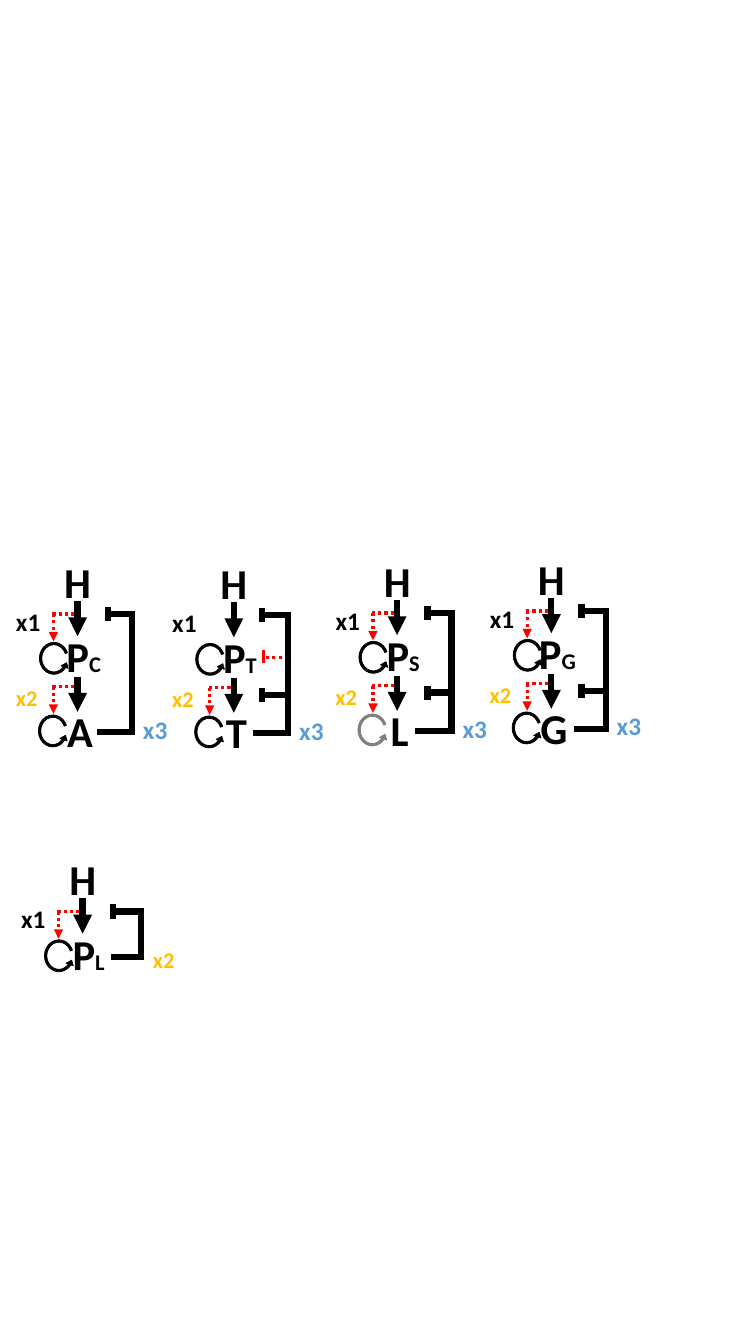
from pptx import Presentation
from pptx.dml.color import RGBColor
from pptx.enum.dml import MSO_LINE
from pptx.enum.shapes import MSO_CONNECTOR, MSO_SHAPE
from pptx.enum.text import MSO_AUTO_SIZE, PP_ALIGN
from pptx.oxml.ns import qn
from pptx.util import Emu, Pt
from lxml.etree import SubElement

PX = 9144  # 100 px to the inch
BLACK = RGBColor(0x00, 0x00, 0x00)
GREY = RGBColor(0x80, 0x80, 0x80)
RED = RGBColor(0xFF, 0x00, 0x00)
GOLD = RGBColor(0xFF, 0xC0, 0x00)
BLUE = RGBColor(0x5B, 0x9B, 0xD5)
BIG, MID, SMALL = 30.4, 18, 16
CURVE = (0.071, 12.212, 30.443, 67.552, 0.112)


def add_line(motif, x1, y1, x2, y2, color=BLACK, dash=False, head=False):
    group, axis, top = motif
    ends = [Emu(v * PX) for v in (axis + x1, top + y1, axis + x2, top + y2)]
    link = group.add_connector(MSO_CONNECTOR.STRAIGHT, *ends)
    link.line.color.rgb = color
    link.line.width = Pt(4.5 if color == BLACK else 2.25)
    if dash:
        link.line.dash_style = MSO_LINE.ROUND_DOT
    if head:
        SubElement(link.line._ln, qn("a:tailEnd"), type="triangle")
    SubElement(link._element.spPr, qn("a:effectLst"))


def add_text(motif, x, y, w, h, runs, color=BLACK):
    group, axis, top = motif
    box = group.add_textbox(*[Emu(v * PX) for v in (axis + x, top + y, w, h)])
    frame = box.text_frame
    frame.word_wrap = False
    frame.auto_size = MSO_AUTO_SIZE.SHAPE_TO_FIT_TEXT
    frame.margin_left = frame.margin_right = 0
    frame.margin_top = frame.margin_bottom = Emu(2 * PX)
    para = frame.paragraphs[0]
    para.alignment = PP_ALIGN.CENTER
    for words, size in runs:
        run = para.add_run()
        run.text = words
        run.font.name = "Calibri"
        run.font.size = Pt(size)
        run.font.bold = True
        run.font.color.rgb = color


deck = Presentation()
deck.slide_width, deck.slide_height = Emu(750 * PX), Emu(1333 * PX)
slide = deck.slides.add_slide(deck.slide_layouts[6])

# Axis, top, index of P, end product, colour of its loop, start of feedback, x of bar caps
motifs = [
    (77, 549, "C", "A", BLACK, 19, 30),
    (232, 550, "T", "T", BLACK, 19, 28),
    (394, 548, "S", "L", GREY, 18, 30),
    (547, 546, "G", "G", BLACK, 22, 30),
    (82, 844, "L", None, BLACK, 28, 30),
]

for axis, top, index, end, shade, start, cap in motifs:
    motif = (slide.shapes.add_group_shape().shapes, axis, top)
    if index == "T":  # dotted inhibition of P
        add_line(motif, 32, 102, 54, 102, RED, dash=True)
        add_line(motif, 29, 95, 29, 108, RED)

    # Letters of the chain
    add_text(motif, -19, 0, 38, 57, [("H", BIG)])
    add_text(motif, -17, 74, 46, 57, [("P", BIG), (index, SMALL)])
    if end:
        add_text(motif, -16, 148, 37, 57, [(end, BIG)])

    # Steps: black arrow, dotted branch, self-renewal loop
    steps = [(47, BLACK), (122, shade)] if end else [(47, BLACK)]
    for n, (y, color) in enumerate(steps):
        add_line(motif, 0, y, 0, y + 35, head=True)
        branch = 60 + 72 * n
        if n or index != "T":
            add_line(motif, -25, branch, -3, branch, RED, dash=True)
            add_line(motif, -24, branch, -24, branch + 27, RED, dash=True, head=True)
        spot = (axis - 42 - n, top + branch + 27, 37, 34)
        loop = motif[0].add_shape(MSO_SHAPE.CIRCULAR_ARROW, *[Emu(v * PX) for v in spot])
        for k, value in enumerate(CURVE):
            loop.adjustments[k] = value
        loop.rotation = 270
        loop._element.spPr.find(qn("a:xfrm")).set("flipH", "1")
        loop.shadow.inherit = False
        loop.fill.solid()
        loop.fill.fore_color.rgb = color
        loop.line.color.rgb = color
        loop.line.width = Pt(0.5)

    # Feedback: foot, spine and blunt bars
    spine, foot = (54, 177) if end else (58, 105)
    add_line(motif, start, foot, spine + (1 if end else 0), foot)
    add_line(motif, spine, 57, spine, foot + 3)
    for y in [60] if end in (None, "A") else [60, 139]:
        add_line(motif, cap, y - 7, cap, y + 7)
        add_line(motif, cap + 1, y, cap + 27, y)

    # Rate labels
    add_text(motif, -67, 50, 36, 36, [("x1", MID)])
    x, y = (-67, 128) if end else (64, 92)
    add_text(motif, x, y, 33, 33, [("x2", SMALL)], GOLD)
    if end:
        add_text(motif, 59, 157, 36, 36, [("x3", MID)], BLUE)

deck.save("out.pptx")
